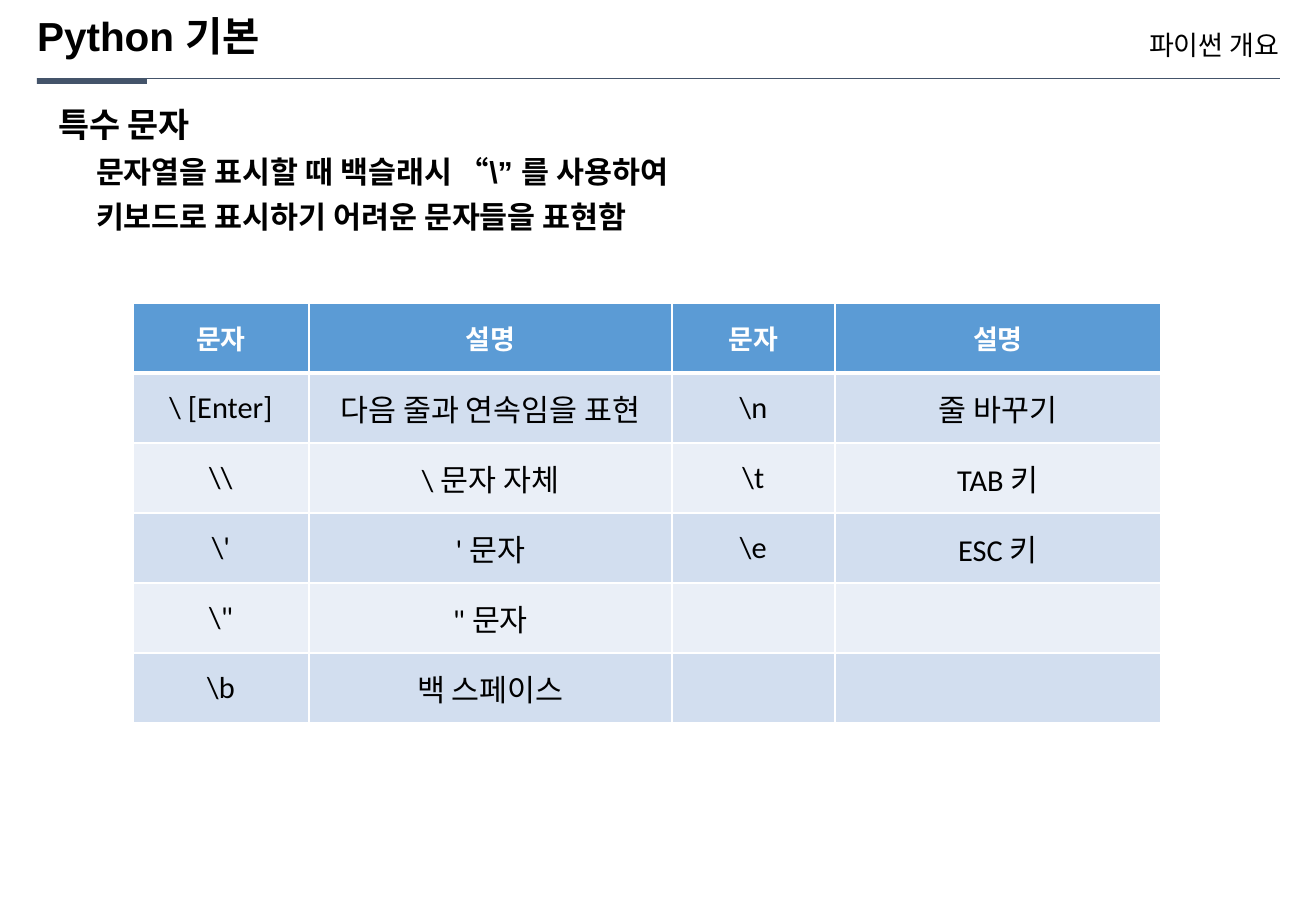
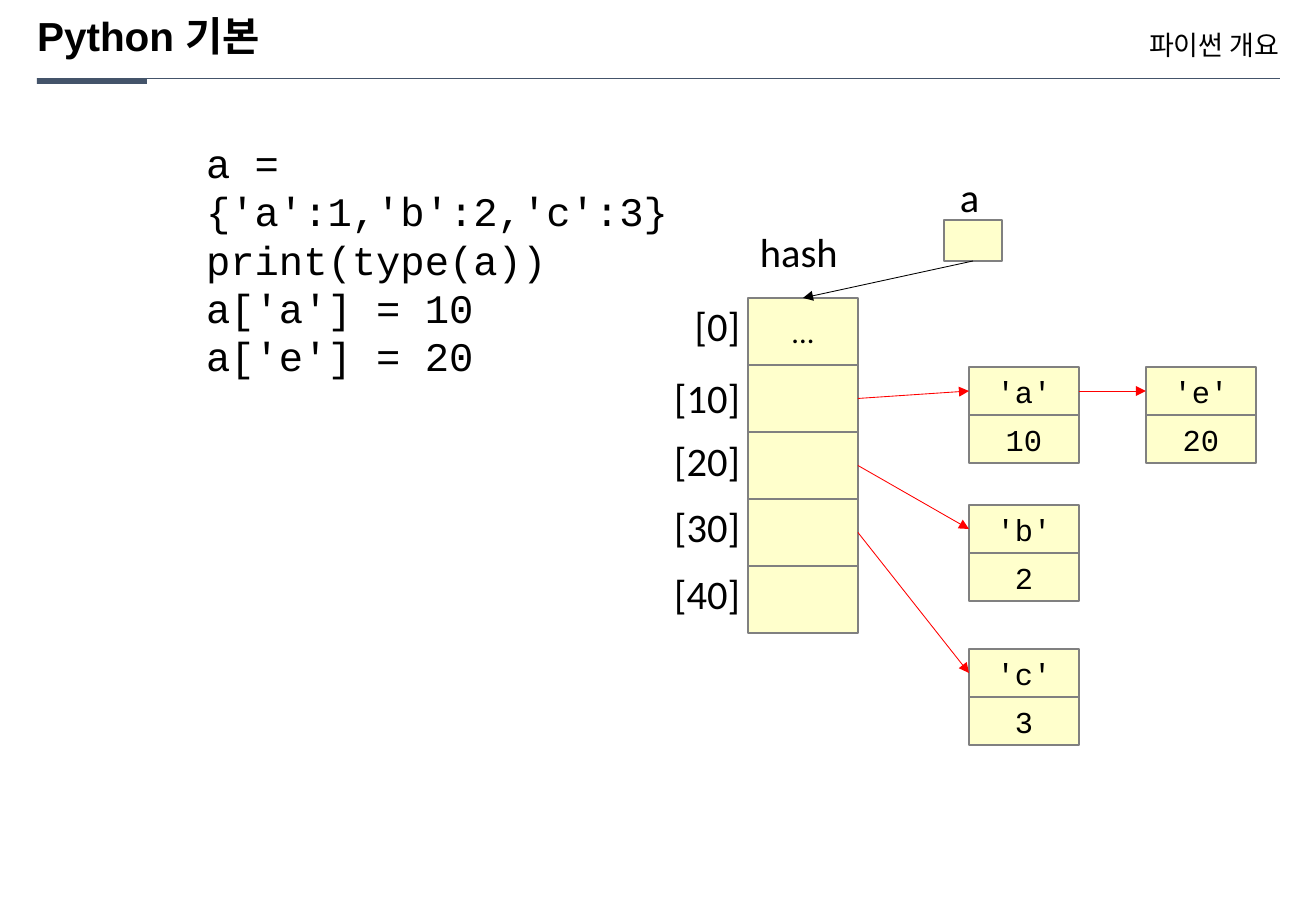
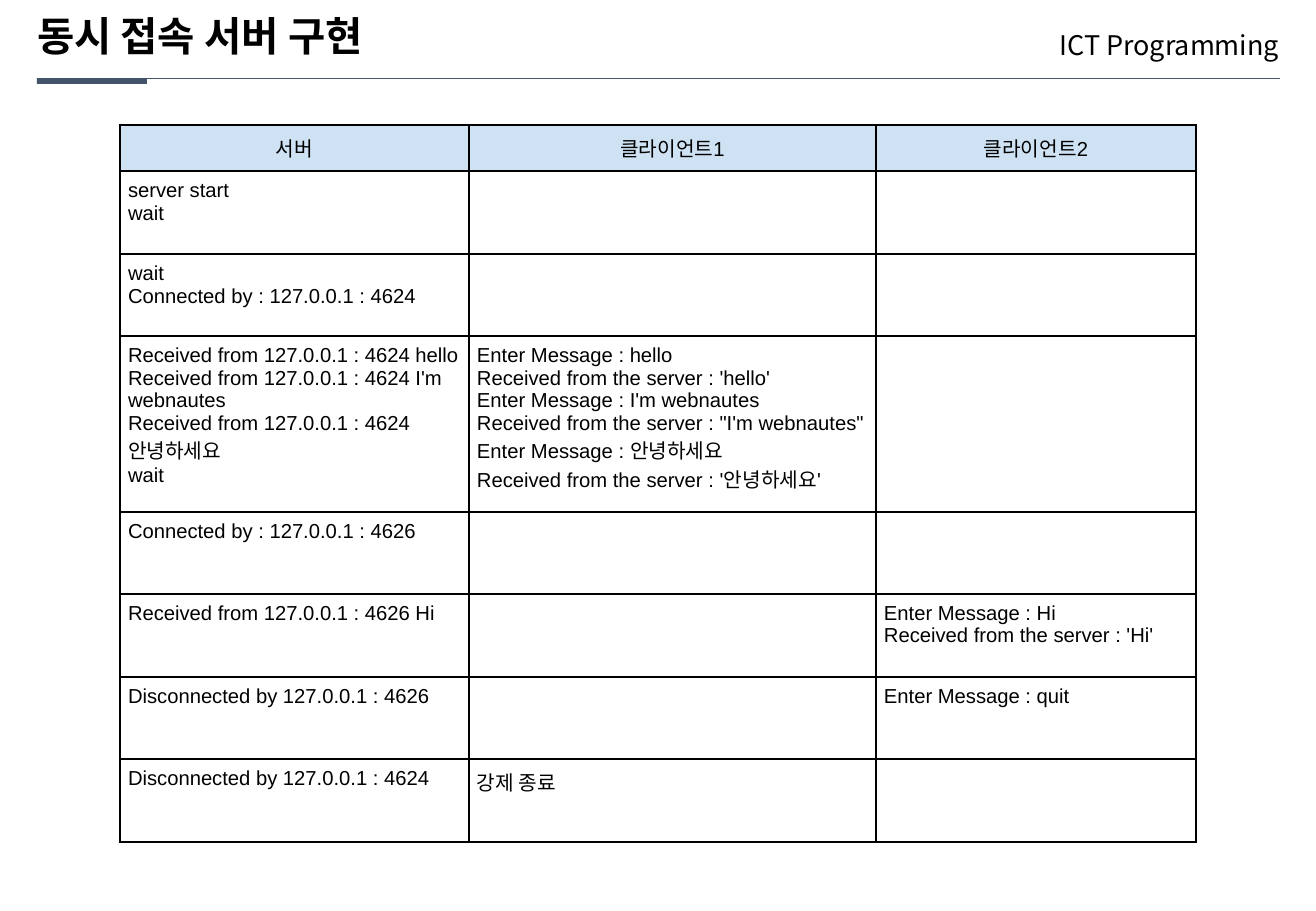
import pptx
import pptx.util
import pptx.dml.color
import pptx.enum.shapes
import pptx.enum.text
import pptx.oxml.ns
from lxml import etree

PX = 7526
qn = pptx.oxml.ns.qn
Pt = pptx.util.Pt
ALIGN = pptx.enum.text.PP_ALIGN
ANCHOR = pptx.enum.text.MSO_ANCHOR


class Theme:
    black, white, red = "000000", "FFFFFF", "FF0000"
    band, box, box_line = "44546A", "FFFFCC", "808080"
    head, odd, even = "5B9BD5", "D2DEEF", "EAEFF7"
    log_head = "CFE2F3"
    east_asian = "Noto Sans CJK KR"


def style(name, size, bold=False, color=Theme.black, indent=0, **para):
    return {"font": {"name": name, "size": Pt(size), "bold": bold},
            "color": color, "indent": indent,
            "para": {"alignment": ALIGN.LEFT, "space_before": Pt(0), **para}}


TITLE = style("Arial", 24, True, line_spacing=0.9)
SECTION = style("Arial", 16, alignment=ALIGN.RIGHT, line_spacing=0.9)
SECTION_CJK = style(Theme.east_asian, 16, alignment=ALIGN.RIGHT, line_spacing=0.9)
HEADING = style("Arial", 20, True)
POINT = style("Arial", 18, True, indent=38, space_before=Pt(5))
CODE = style("Courier New", 24, line_spacing=Pt(28.7))
LABEL = style("Calibri", 24)
INDEX = style("Calibri", 24, alignment=ALIGN.RIGHT)
DOTS = style("Calibri", 18, alignment=ALIGN.CENTER)
NODE = style("Courier New", 18, alignment=ALIGN.CENTER)
CELL_HEAD = style("Calibri", 16, True, Theme.white, alignment=ALIGN.CENTER)
CELL = style("Calibri", 18, alignment=ALIGN.CENTER)
LOG_HEAD = style("Arial", 12, alignment=ALIGN.CENTER)
LOG = style("Arial", 12)

SLIDE_SIZE = (1316, 911)
TITLE_AT = (37, 17, 745, 53)
SECTION_AT = (841, 32, 438, 36)
BODY_AT = (46, 98, 900, 170)
BAND_LINE = (37, 78, 1280, 78)
BAND_BAR = (37, 78, 110, 6)

ESCAPE_INTRO = [
    ("특수 문자", HEADING),
    ("문자열을 표시할 때 백슬래시 “\\” 를 사용하여", POINT),
    ("키보드로 표시하기 어려운 문자들을 표현함", POINT),
]
ESCAPES = [
    ("문자", "설명", "문자", "설명"),
    ("\\ [Enter]", "다음 줄과 연속임을 표현", "\\n", "줄 바꾸기"),
    ("\\\\", "\\ 문자 자체", "\\t", "TAB 키"),
    ("\\'", "' 문자", "\\e", "ESC 키"),
    ("\\\"", "\" 문자", "", ""),
    ("\\b", "백 스페이스", "", ""),
]

DICT_CODE = ["a = {'a':1,'b':2,'c':3}", "print(type(a))", "a['a'] = 10", "a['e'] = 20"]
CODE_AT = (194, 132, 544, 260)
BUCKET_AT = (748, 298, 110, 67)
BUCKETS = [("[0]", 295, "..."), ("[10]", 367, ""), ("[20]", 430, ""),
           ("[30]", 496, ""), ("[40]", 563, "")]
NODE_SIZE = (110, 48)
NODES = {"'a'": (969, 367, "10"), "'b'": (969, 505, "2"),
         "'c'": (969, 649, "3"), "'e'": (1146, 367, "20")}
LINKS = [("[10]", "'a'"), ("[20]", "'b'"), ("[30]", "'c'"), ("'a'", "'e'")]

SESSION_LOG = [
    ("서버", "클라이언트1", "클라이언트2"),
    ("server start\nwait", "", ""),
    ("wait\nConnected by : 127.0.0.1 : 4624", "", ""),
    ("Received from 127.0.0.1 : 4624 hello\n"
     "Received from 127.0.0.1 : 4624 I'm webnautes\n"
     "Received from 127.0.0.1 : 4624 안녕하세요\nwait",
     "Enter Message : hello\nReceived from the server : 'hello'\n"
     "Enter Message : I'm webnautes\n"
     "Received from the server : \"I'm webnautes\"\n"
     "Enter Message : 안녕하세요\nReceived from the server : '안녕하세요'", ""),
    ("Connected by : 127.0.0.1 : 4626", "", ""),
    ("Received from 127.0.0.1 : 4626 Hi", "",
     "Enter Message : Hi\nReceived from the server : 'Hi'"),
    ("Disconnected by 127.0.0.1 : 4626", "", "Enter Message : quit"),
    ("Disconnected by 127.0.0.1 : 4624", "강제 종료", ""),
]


def px(*values):
    return [round(v * PX) for v in values]


def rgb(color):
    return pptx.dml.color.RGBColor.from_string(color)


def assign(target, values):
    for name, value in values.items():
        setattr(target, name, value)


def place(sp, at):
    assign(sp, dict(zip(("left", "top", "width", "height"), px(*at))))


def write(tf, lines):
    """Fill a text frame with (text, style) lines."""
    for i, (text, st) in enumerate(lines):
        p = tf.add_paragraph() if i else tf.paragraphs[0]
        pPr = p._p.get_or_add_pPr()
        pPr.set("marL", str(px(st["indent"])[0]))
        pPr.set("indent", "0")
        etree.SubElement(pPr, qn("a:buNone"))
        assign(p, st["para"])
        r = p.add_run()
        r.text = text
        assign(r.font, st["font"])
        r.font.color.rgb = rgb(st["color"])
        ea = etree.SubElement(r._r.get_or_add_rPr(), qn("a:ea"))
        ea.set("typeface", Theme.east_asian)


def set_frame(tf, margin_x=12, margin_y=6, anchor=ANCHOR.TOP):
    x, y = px(margin_x, margin_y)
    assign(tf, {"auto_size": pptx.enum.text.MSO_AUTO_SIZE.NONE, "word_wrap": True,
                "vertical_anchor": anchor, "margin_left": x, "margin_right": x,
                "margin_top": y, "margin_bottom": y})


def add_box(s, at, fill, line=None, text="", st=NODE):
    sp = s.shapes.add_shape(pptx.enum.shapes.MSO_SHAPE.RECTANGLE, *px(*at))
    sp.shadow.inherit = False
    sp.fill.solid()
    sp.fill.fore_color.rgb = rgb(fill)
    if line:
        sp.line.color.rgb = rgb(line)
        sp.line.width = Pt(1)
    else:
        sp.line.fill.background()
    if text:
        set_frame(sp.text_frame, anchor=ANCHOR.MIDDLE)
        write(sp.text_frame, [(text, st)])
    return sp


def add_label(s, at, text, st=LABEL):
    tf = s.shapes.add_textbox(*px(*at)).text_frame
    set_frame(tf)
    write(tf, [(text, st)])


def add_line(s, color, width, ends=(0, 0, 0, 0)):
    c = s.shapes.add_connector(pptx.enum.shapes.MSO_CONNECTOR.STRAIGHT, *px(*ends))
    c.line.color.rgb = rgb(color)
    c.line.width = Pt(width)
    etree.SubElement(c._element.spPr, qn("a:effectLst"))
    return c


def add_arrow(s, start, start_site, end, end_site, color):
    c = add_line(s, color, 0.5)
    c.begin_connect(start, start_site)
    c.end_connect(end, end_site)
    etree.SubElement(c.line._get_or_add_ln(), qn("a:tailEnd")).set("type", "triangle")


def set_borders(cell, color, widths):
    """Draw cell edges; widths gives points for left, right, top, bottom."""
    tcPr = cell._tc.get_or_add_tcPr()
    for i, (edge, width) in enumerate(zip("LRTB", widths)):
        ln = etree.Element(qn("a:ln" + edge), w=str(Pt(width)))
        fill = etree.SubElement(ln, qn("a:solidFill"))
        etree.SubElement(fill, qn("a:srgbClr")).set("val", color)
        tcPr.insert(i, ln)


def add_grid(s, left, top, widths, heights, rows, look):
    """Add a table; look(row) gives fill, text style and edge widths."""
    at = (left, top, sum(widths), sum(heights))
    table = s.shapes.add_table(len(rows), len(widths), *px(*at)).table
    for col, width in zip(table.columns, px(*widths)):
        col.width = width
    for row, height in zip(table.rows, px(*heights)):
        row.height = height
    return_margin = look["margin"]
    for i, values in enumerate(rows):
        fill, st, edges = look["row"](i)
        for j, text in enumerate(values):
            cell = table.cell(i, j)
            cell.fill.solid()
            cell.fill.fore_color.rgb = rgb(fill)
            x, y = px(*return_margin)
            assign(cell, {"vertical_anchor": look["anchor"], "margin_left": x,
                          "margin_right": x, "margin_top": y, "margin_bottom": y})
            set_borders(cell, look["border"], edges)
            if text:
                write(cell.text_frame, [(line, st) for line in text.split("\n")])


def escape_row(i):
    if i == 0:
        return Theme.head, CELL_HEAD, (1, 1, 1, 3)
    return (Theme.odd if i % 2 else Theme.even), CELL, (1, 1, 3 if i == 1 else 1, 1)


def log_row(i):
    return (Theme.white if i else Theme.log_head), (LOG if i else LOG_HEAD), (1, 1, 1, 1)


ESCAPE_LOOK = {"row": escape_row, "border": Theme.white,
               "anchor": ANCHOR.MIDDLE, "margin": (12, 6)}
LOG_LOOK = {"row": log_row, "border": Theme.black,
            "anchor": ANCHOR.TOP, "margin": (8, 8)}


def setup_layout(layout, s):
    """Move the header band, drawn on slide s, to the layout and place its slots."""
    for idx, at in enumerate((TITLE_AT, SECTION_AT, BODY_AT)):
        place(layout.placeholders.get(idx), at)
    for sp in (add_line(s, Theme.band, 0.25, BAND_LINE), add_box(s, BAND_BAR, Theme.band)):
        layout.shapes._spTree.append(sp._element)


def add_slide(prs, layout, title, section, section_style=SECTION, body=()):
    s = prs.slides.add_slide(layout)
    for idx, line in enumerate(((title, TITLE), (section, section_style))):
        tf = s.placeholders[idx].text_frame
        set_frame(tf, 0, 0)
        write(tf, [line])
    slot = s.placeholders[2]
    if body:
        set_frame(slot.text_frame)
        write(slot.text_frame, body)
    else:
        slot._element.getparent().remove(slot._element)
    return s


def draw_hash(s):
    parts = {}
    x, y, w, h = BUCKET_AT
    for i, (name, label_top, text) in enumerate(BUCKETS):
        parts[name] = add_box(s, (x, y + i * h, w, h), Theme.box, Theme.box_line, text, DOTS)
        add_label(s, (652, label_top, 100, 61), name, INDEX)
    w, h = NODE_SIZE
    for key, (x, y, value) in NODES.items():
        parts[key] = add_box(s, (x, y, w, h), Theme.box, Theme.box_line, key)
        add_box(s, (x, y + h, w, h), Theme.box, Theme.box_line, value)
    for start, end in LINKS:
        add_arrow(s, parts[start], 3, parts[end], 1, Theme.red)
    add_label(s, (748, 221, 110, 61), "hash")
    add_label(s, (948, 166, 50, 61), "a")
    variable = add_box(s, (944, 220, 58, 41), Theme.box, Theme.box_line)
    add_arrow(s, variable, 2, parts["[0]"], 0, Theme.black)


def main():
    prs = pptx.Presentation()
    prs.slide_width, prs.slide_height = px(*SLIDE_SIZE)
    layout = prs.slide_layouts[3]

    s = add_slide(prs, layout, "Python 기본", "파이썬 개요", body=ESCAPE_INTRO)
    setup_layout(layout, s)
    add_grid(s, 133, 303, (176, 363, 163, 326), [70] * len(ESCAPES), ESCAPES, ESCAPE_LOOK)

    s = add_slide(prs, layout, "Python 기본", "파이썬 개요",
                  body=[(line, CODE) for line in DICT_CODE])
    place(s.placeholders[2], CODE_AT)
    draw_hash(s)

    s = add_slide(prs, layout, "동시 접속 서버 구현", "ICT Programming", SECTION_CJK)
    add_grid(s, 120, 125, (349, 407, 320), (46, 83, 82, 176, 82, 83, 82, 83),
             SESSION_LOG, LOG_LOOK)

    prs.save("out.pptx")


if __name__ == "__main__":
    main()
